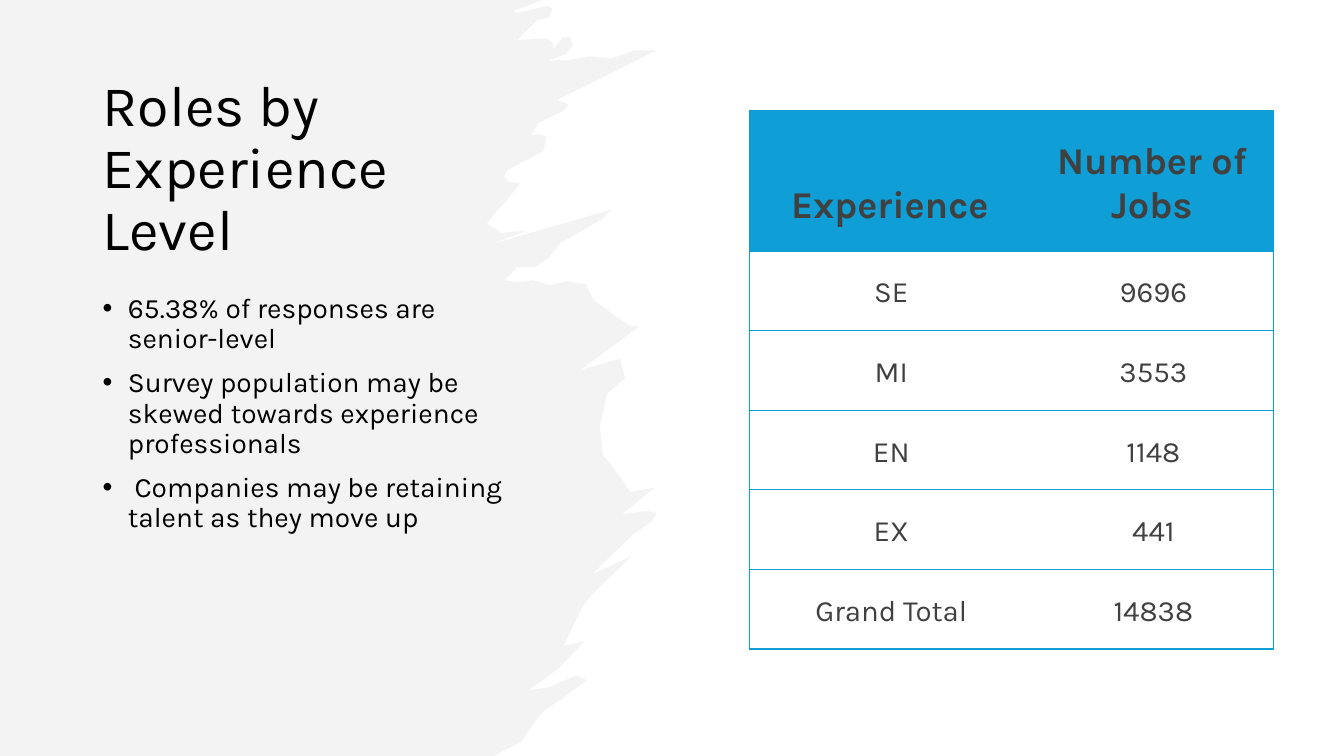
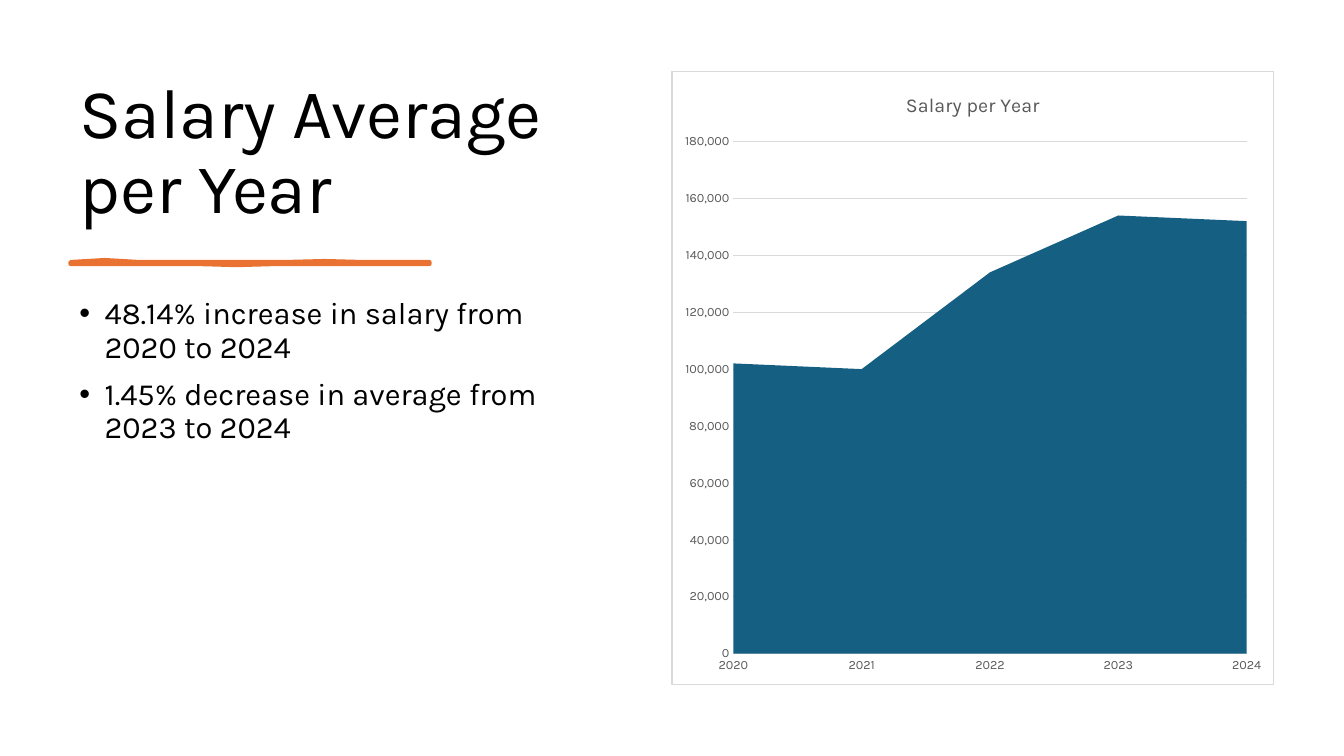
from dataclasses import dataclass
from pptx import Presentation
from pptx.chart.data import CategoryChartData
from pptx.dml.color import RGBColor
from pptx.enum.chart import XL_CHART_TYPE, XL_TICK_MARK
from pptx.enum.text import MSO_ANCHOR, PP_ALIGN
from pptx.oxml import parse_xml
from pptx.oxml.ns import nsdecls, qn
from pptx.util import Emu, Pt

SCALE = 9144  # EMU in one px, 100 px to the inch


@dataclass(frozen=True)
class Theme:
    font: str = "Karla"
    ink: str = "000000"
    paper: str = "FFFFFF"
    wash: str = "E8E8E8"
    blue: str = "0F9ED5"
    orange: str = "E97132"
    area: str = "156082"
    cell: str = "404040"
    label: str = "595959"
    rule: str = "D9D9D9"
    head: int = 27
    row: int = 21
    title: int = 14
    tick: int = 9


def px(count):
    return Emu(count * SCALE)


def rgb(color):
    return RGBColor.from_string(color)


class Deck:
    def __init__(self, theme):
        self.theme = theme
        self.show = Presentation()
        self.show.slide_width, self.show.slide_height = px(1333), px(750)

    def page(self):
        self.slide = self.show.slides.add_slide(self.show.slide_layouts[6])

    def style(self, font, size, color, bold=False):
        font.name, font.size, font.bold = self.theme.font, Pt(size), bold
        font.color.rgb = rgb(color)

    def text(self, box, lines, size, anchor=MSO_ANCHOR.TOP, bullet=False):
        frame = self.slide.shapes.add_textbox(*map(px, box)).text_frame
        frame.word_wrap = True
        frame.vertical_anchor = anchor
        frame.text = "\n".join(lines)
        for para in frame.paragraphs:
            para.line_spacing = 0.9
            self.style(para.runs[0].font, size, self.theme.ink)
            if bullet:
                para.space_before = Pt(10)
                props = para._p.get_or_add_pPr()
                props.set("marL", str(px(25)))
                props.set("indent", str(-px(25)))
                props.append(parse_xml(
                    f'<a:buFont {nsdecls("a")} typeface="Arial"/>'))
                props.append(parse_xml(
                    f'<a:buChar {nsdecls("a")} char="•"/>'))

    def title(self, box, words, size, anchor):
        self.text(box, [words], size, anchor)

    def list(self, box, lines, size):
        self.text(box, lines, size, bullet=True)

    def brush(self, points, color, width=0, alpha=100):
        form = self.slide.shapes.build_freeform(*points[0], scale=SCALE)
        form.add_line_segments(points[1:], close=True)
        shape = form.convert_to_shape()
        shape.shadow.inherit = False
        shape.fill.solid()
        shape.fill.fore_color.rgb = rgb(color)
        if alpha < 100:
            tint = shape._element.spPr.find(qn("a:solidFill"))[0]
            tint.append(parse_xml(
                f'<a:alpha {nsdecls("a")} val="{alpha * 1000}"/>'))
        if width:
            shape.line.color.rgb = rgb(color)
            shape.line.width = Pt(width)
            shape._element.spPr.find(qn("a:ln")).append(
                parse_xml(f'<a:round {nsdecls("a")}/>'))
        else:
            shape.line.fill.background()

    def edge(self, cell, side, color):
        paint = (f'<a:solidFill><a:srgbClr val="{color}"/></a:solidFill>'
                 if color else "<a:noFill/>")
        cell._tc.get_or_add_tcPr().append(parse_xml(
            f'<a:ln{side} {nsdecls("a")} w="{Pt(1)}">{paint}</a:ln{side}>'))

    def table(self, box, rows, widths, heights):
        look = self.theme
        grid = self.slide.shapes.add_table(
            len(rows), len(widths), *map(px, box)).table
        grid.first_row = grid.horz_banding = False
        for col, width in zip(grid.columns, widths):
            col.width = px(width)
        for r, (row, high) in enumerate(zip(rows, heights)):
            grid.rows[r].height = px(high)
            head = r == 0
            for c, words in enumerate(row):
                cell = grid.cell(r, c)
                pad = px(23 if head else 20)
                cell.margin_left = px(38)
                cell.margin_right = cell.margin_top = cell.margin_bottom = pad
                cell.vertical_anchor = MSO_ANCHOR.BOTTOM
                # Outer frame and row rules, no inner column rule
                sides = {"L": c == 0, "R": c == len(row) - 1,
                         "T": True, "B": True}
                for side, drawn in sides.items():
                    self.edge(cell, side, look.blue if drawn else None)
                if head:
                    cell.fill.solid()
                    cell.fill.fore_color.rgb = rgb(look.blue)
                else:
                    cell.fill.background()
                cell.text_frame.text = words
                para = cell.text_frame.paragraphs[0]
                para.alignment = PP_ALIGN.CENTER
                self.style(para.runs[0].font, look.head if head else look.row,
                           look.cell, head)

    def chart(self, box, inner, name, cats, vals):
        look = self.theme
        data = CategoryChartData(number_format="#,##0")
        data.categories = cats
        data.add_series("Series 1", vals)
        chart = self.slide.shapes.add_chart(
            XL_CHART_TYPE.AREA, *map(px, box), data).chart
        self.style(chart.font, 10, look.ink)
        chart.has_legend = False
        chart.chart_title.text_frame.text = name
        run = chart.chart_title.text_frame.paragraphs[0].runs[0]
        self.style(run.font, look.title, look.label)
        fill = chart.plots[0].series[0].format.fill
        fill.solid()
        fill.fore_color.rgb = rgb(look.area)

        # Axes
        low, side = chart.category_axis, chart.value_axis
        for axis in (low, side):
            axis.major_tick_mark = axis.minor_tick_mark = XL_TICK_MARK.NONE
            self.style(axis.tick_labels.font, look.tick, look.label)
        low.has_major_gridlines = False
        side.has_major_gridlines = True
        for line in (low.format.line, side.major_gridlines.format.line):
            line.color.rgb = rgb(look.rule)
            line.width = Pt(0.75)
        side.format.line.fill.background()
        side.minimum_scale, side.maximum_scale = 0, 180000
        side.major_unit = 20000
        side.tick_labels.number_format = "#,##0"
        side.tick_labels.number_format_is_linked = False
        for cross in side._element.findall(qn("c:crossBetween")):
            cross.set("val", "midCat")

        # Plot position and chart frame
        plot = chart._chartSpace.chart.plotArea
        for old in plot.findall(qn("c:layout")):
            plot.remove(old)
        left, top, width, height = box
        place = {"x": (inner[0] - left) / width, "y": (inner[1] - top) / height,
                 "w": inner[2] / width, "h": inner[3] / height}
        spots = "".join(f'<c:{k} val="{v:.4f}"/>' for k, v in place.items())
        plot.insert(0, parse_xml(
            f'<c:layout {nsdecls("c")}><c:manualLayout>'
            '<c:layoutTarget val="inner"/><c:xMode val="edge"/>'
            f'<c:yMode val="edge"/>{spots}</c:manualLayout></c:layout>'))
        chart._chartSpace.chart.addnext(parse_xml(
            f'<c:spPr {nsdecls("c", "a")}><a:solidFill>'
            f'<a:srgbClr val="{look.paper}"/></a:solidFill>'
            f'<a:ln w="{Pt(0.75)}"><a:solidFill><a:srgbClr val="{look.rule}"/>'
            '</a:solidFill></a:ln></c:spPr>'))


# Wash with a torn right edge, from bottom to top
WASH = [
    (0, 0), (0, 750),
    (491, 750), (497, 746), (517, 736), (534, 711), (541, 704), (555, 695),
    (582, 675), (572, 670), (544, 682), (524, 685), (553, 664), (580, 636),
    (559, 641), (576, 605), (585, 592), (626, 552), (587, 570), (627, 531),
    (647, 517), (651, 509), (643, 507), (617, 510), (649, 484), (625, 488),
    (618, 477), (606, 461), (598, 452), (595, 423), (602, 391), (620, 375),
    (615, 356), (576, 367), (634, 324), (624, 323), (589, 298), (581, 282),
    (562, 279), (546, 283), (529, 278), (513, 280), (500, 278), (513, 265),
    (531, 265), (544, 256), (556, 241), (598, 217), (606, 208), (485, 243),
    (522, 229), (497, 231), (483, 222), (493, 209), (499, 203), (516, 182),
    (504, 180), (500, 175), (503, 169), (539, 150), (542, 135), (535, 133),
    (527, 134), (534, 122), (559, 110), (564, 104), (553, 99), (651, 50),
    (629, 50), (607, 58), (584, 56), (562, 60), (543, 60), (561, 54),
    (568, 45), (565, 36), (558, 38), (549, 49), (548, 42), (542, 38),
    (513, 40), (533, 20), (545, 17), (548, 8), (542, 6), (513, 13),
    (509, 11), (525, 5), (538, 0),
]
# Hand-drawn stroke under the title
STROKE = [
    (70, 260), (104, 258), (138, 260), (209, 260), (284, 260), (322, 259),
    (359, 260), (426, 260), (426, 262), (348, 262), (270, 262), (235, 263),
    (199, 262), (70, 262),
]


def main():
    look = Theme()
    deck = Deck(look)

    # Roles
    deck.page()
    deck.brush(WASH, look.wash, alpha=50)
    deck.title((92, 70, 425, 197), "Roles by Experience Level", 41,
               MSO_ANCHOR.MIDDLE)
    deck.list((92, 287, 425, 389), [
        "65.38% of responses are senior-level",
        "Survey population may be skewed towards experience professionals",
        " Companies may be retaining talent as they move up"], 20)
    rows = [("Experience", "Number of Jobs"), ("SE", "9696"), ("MI", "3553"),
            ("EN", "1148"), ("EX", "441"), ("Grand Total", "14838")]
    deck.table((743, 110, 520, 534), rows, (264, 256), [139] + [79] * 5)

    # Salary
    deck.page()
    deck.title((69, 70, 527, 162), "Salary Average per Year", 50,
               MSO_ANCHOR.BOTTOM)
    deck.brush(STROKE, look.orange, width=3)
    deck.list((69, 291, 527, 388), [
        "48.14% increase in salary from 2020 to 2024",
        "1.45% decrease in average from 2023 to 2024"], 22)
    deck.chart((666, 70, 598, 610), (727, 140, 510, 509), "Salary per Year",
               ["2020", "2021", "2022", "2023", "2024"],
               (102000, 100000, 134000, 154000, 152000))

    deck.show.save("out.pptx")


if __name__ == "__main__":
    main()
